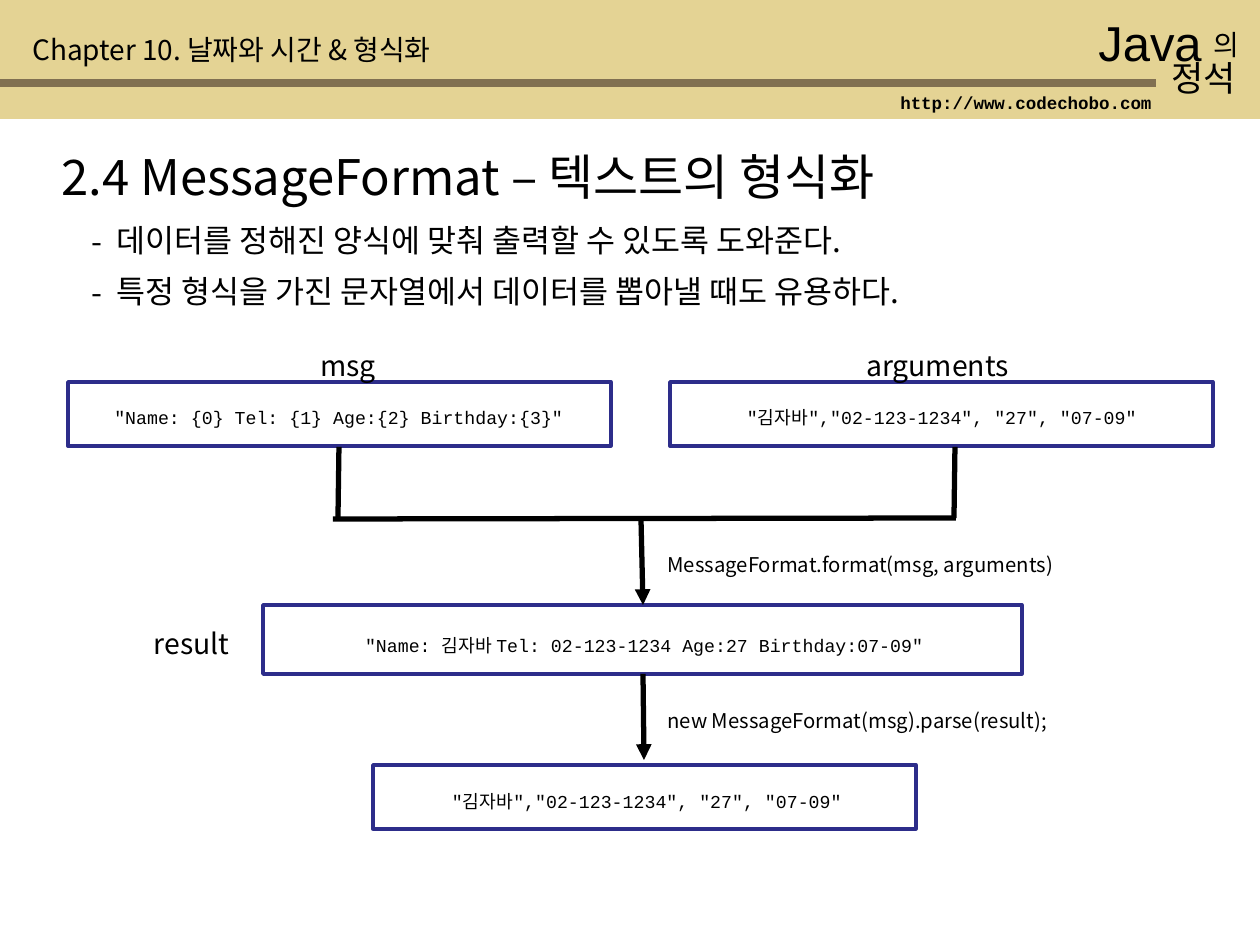
"""Build the MessageFormat slide of the Java lecture deck."""
import pptx
import pptx.util
import pptx.oxml
import pptx.oxml.ns
import pptx.dml.color
import pptx.enum.text
import pptx.enum.shapes
import lxml.etree

SCALE = 914400 / 126
COLORS = {"sand": "E4D394", "bar": "817051", "ink": "000000", "paper": "FFFFFF", "frame": "2D2D8A"}
SANS, MONO = "Noto Sans CJK KR", "Courier New"
qn = pptx.oxml.ns.qn


def px(*nums):
    return [pptx.util.Emu(round(num * SCALE)) for num in nums]


def write(text, area, size, font=SANS, bold=False, center=False, middle=False, lift=False, dash=False):
    box = slide.shapes.add_textbox(*px(*area))
    frame = box.text_frame
    frame.word_wrap = True
    frame.auto_size = pptx.enum.text.MSO_AUTO_SIZE.SHAPE_TO_FIT_TEXT
    if middle:
        frame.vertical_anchor = pptx.enum.text.MSO_ANCHOR.MIDDLE
    para = frame.paragraphs[0]
    if center:
        para.alignment = pptx.enum.text.PP_ALIGN.CENTER
    if dash:
        props = para._p.get_or_add_pPr()
        left, hang = px(40, -25)
        props.set("marL", str(left))
        props.set("indent", str(hang))
        lxml.etree.SubElement(props, qn("a:buFont")).set("typeface", font)
        lxml.etree.SubElement(props, qn("a:buChar")).set("char", "-")
    run = para.add_run()
    run.text = text
    run.font.size = pptx.util.Pt(size)
    run.font.name = font
    run.font.bold = bold
    run.font.color.rgb = pptx.dml.color.RGBColor.from_string(COLORS["ink"])
    mark = run._r.get_or_add_rPr()
    lxml.etree.SubElement(mark, qn("a:ea")).set("typeface", SANS)
    if lift:
        mark.set("baseline", "30000")


deck = pptx.Presentation()
deck.slide_width, deck.slide_height = px(1260, 945)
slide = deck.slides.add_slide(deck.slide_layouts[6])

rects = [
    ((0, 0, 1260, 119), "sand", None),
    ((0, 79, 1156, 8), "bar", None),
    ((68, 382, 543, 64), "paper", "frame"),
    ((670, 382, 543, 64), "paper", "frame"),
    ((263, 605, 759, 69), "paper", "frame"),
    ((373, 765, 543, 64), "paper", "frame"),
]
for area, fill, line in rects:
    rect = slide.shapes.add_shape(pptx.enum.shapes.MSO_SHAPE.RECTANGLE, *px(*area))
    rect.shadow.inherit = False
    rect.fill.solid()
    rect.fill.fore_color.rgb = pptx.dml.color.RGBColor.from_string(COLORS[fill])
    if line:
        rect.line.color.rgb = pptx.dml.color.RGBColor.from_string(COLORS[line])
        rect.line.width = pptx.util.Pt(2)
    else:
        rect.line.fill.background()

write("Java", (1086, 6, 168, 72), 28, font="Arial")
write("의", (1201, 21, 74, 47), 16)
write("정석", (1159, 50, 112, 55), 20)
write("http://www.codechobo.com", (888, 86, 277, 34), 10, font=MONO, bold=True)
write("Chapter 10. 날짜와 시간 & 형식화", (20, 26, 774, 47), 16)
write("2.4 MessageFormat – 텍스트의 형식화", (49, 140, 1181, 72), 28)

points = ["데이터를 정해진 양식에 맞춰 출력할 수 있도록 도와준다.",
          "특정 형식을 가진 문자열에서 데이터를 뽑아낼 때도 유용하다."]
for row, point in enumerate(points):
    write(point, (64, 215 + 51 * row, 1186, 50), 18, dash=True)

person = '"김자바","02-123-1234", "27", "07-09"'
values = [
    ('"Name: {0} Tel: {1} Age:{2} Birthday:{3}"', (60, 396, 558, 50)),
    (person, (663, 396, 558, 50)),
    ('"Name: 김자바 Tel: 02-123-1234 Age:27 Birthday:07-09"', (247, 624, 795, 50)),
    (person, (368, 780, 558, 50)),
]
for text, area in values:
    write(text, area, 18, font=MONO, center=True, middle=True, lift=True)

labels = [
    ("msg", (290, 336, 116, 72)),
    ("arguments", (776, 336, 323, 72)),
    ("result", (87, 614, 209, 72)),
]
for text, area in labels:
    write(text, area, 28, center=True, middle=True, lift=True)

calls = [
    ("MessageFormat.format(msg, arguments)", 541),
    ("new MessageFormat(msg).parse(result);", 697),
]
for text, top in calls:
    write(text, (655, top, 553, 55), 20, middle=True, lift=True)

lines = [
    ((339, 447, 338, 518), False),
    ((955, 447, 954, 518), False),
    ((956, 518, 333, 519), False),
    ((641, 518, 643, 605), True),
    ((643, 674, 644, 760), True),
]
for ends, arrow in lines:
    line = slide.shapes.add_connector(pptx.enum.shapes.MSO_CONNECTOR.STRAIGHT, *px(*ends))
    line.line.color.rgb = pptx.dml.color.RGBColor.from_string(COLORS["ink"])
    line.line.width = pptx.util.Pt(3)
    if arrow:
        lxml.etree.SubElement(line.line._get_or_add_ln(), qn("a:tailEnd")).set("type", "triangle")
    lxml.etree.SubElement(line._element.spPr, qn("a:effectLst"))

deck.save("out.pptx")
